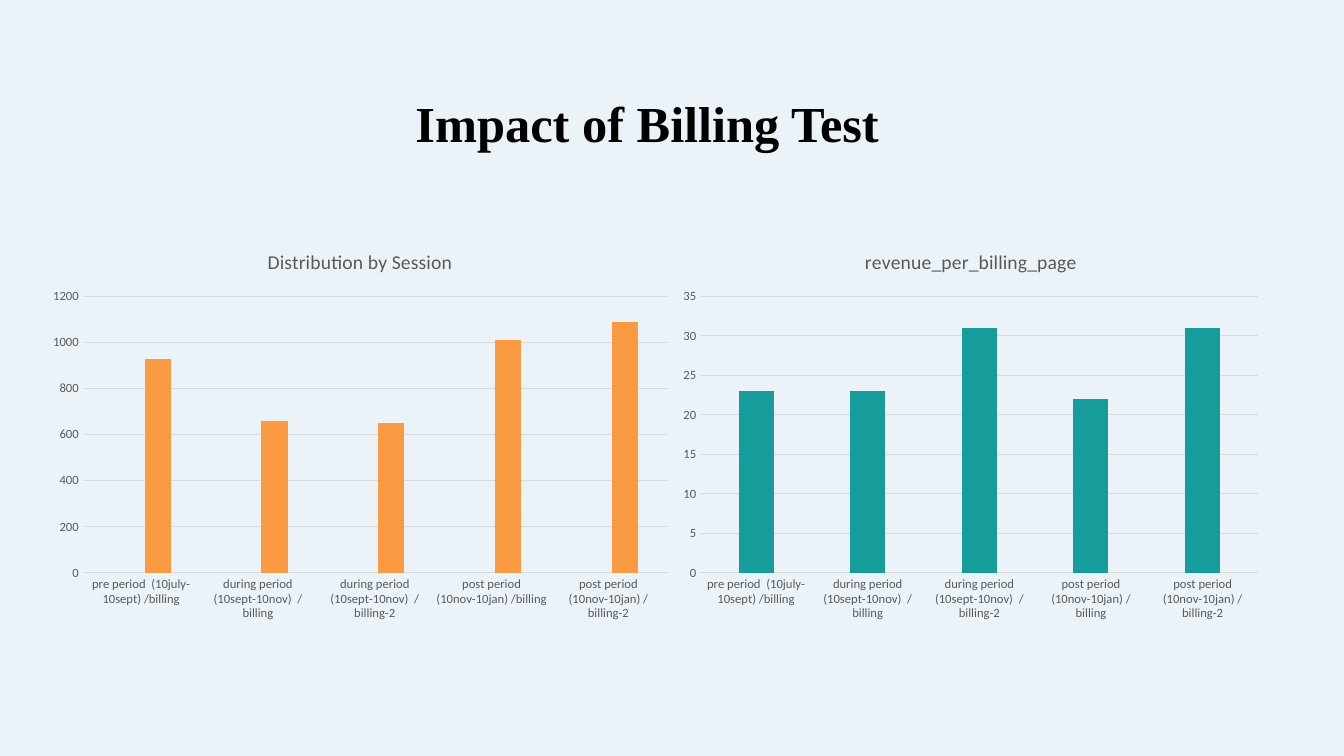
from pptx import Presentation
from pptx.chart.data import CategoryChartData
from pptx.dml.color import RGBColor
from pptx.enum.chart import XL_CHART_TYPE, XL_TICK_MARK
from pptx.enum.text import MSO_ANCHOR, PP_ALIGN
from pptx.util import Inches, Pt

BACKGROUND = RGBColor(0xEB, 0xF3, 0xF9)
BLACK = RGBColor(0, 0, 0)
GRAY = RGBColor(0x59, 0x59, 0x59)
GRID = RGBColor(0xD9, 0xD9, 0xD9)
TEAL = RGBColor(0x16, 0x9C, 0x9A)
ORANGE = RGBColor(0xFA, 0x9A, 0x42)

PERIODS = [
    "pre period  (10july- 10sept) /billing",
    "during period (10sept-10nov)  /billing",
    "during period (10sept-10nov)  /billing-2",
    "post period (10nov-10jan) /billing",
    "post period (10nov-10jan) /billing-2",
]
# Each series: name, values, color
SESSIONS = [
    ("Series 1", [None] * len(PERIODS), TEAL),
    ("Series 2", [930, 660, 650, 1010, 1090], ORANGE),
]
REVENUE = [("revenue_per_billing_page", [23, 23, 31, 22, 31], TEAL)]


def set_font(font, size, color, name="Calibri", bold=False):
    values = {"size": Pt(size), "name": name, "bold": bold}
    for key, value in values.items():
        setattr(font, key, value)
    font.color.rgb = color


def set_line(line, color):
    line.color.rgb = color
    line.width = Pt(0.75)


def add_title(slide, text, box):
    sp = slide.shapes.title
    for key, value in zip(("left", "top", "width", "height"), box):
        setattr(sp, key, Inches(value))
    tf = sp.text_frame
    tf.vertical_anchor = MSO_ANCHOR.MIDDLE
    p = tf.paragraphs[0]
    p.alignment = PP_ALIGN.CENTER
    r = p.add_run()
    r.text = text
    set_font(r.font, 36, BLACK, "Times New Roman", True)


def add_column_chart(slide, title, series, top_value, step, box):
    data = CategoryChartData()
    data.categories = PERIODS
    for name, values, _ in series:
        data.add_series(name, values)
    frame = slide.shapes.add_chart(
        XL_CHART_TYPE.COLUMN_CLUSTERED, *map(Inches, box), data)
    chart = frame.chart
    set_font(chart.font, 10, BLACK)
    chart.has_legend = False

    # Chart title
    chart.has_title = True
    chart.chart_title.include_in_layout = False
    r = chart.chart_title.text_frame.paragraphs[0].add_run()
    r.text = title
    set_font(r.font, 14, GRAY)

    # Columns
    plot = chart.plots[0]
    plot_format = {"gap_width": 219, "overlap": -27, "vary_by_categories": False}
    for key, value in plot_format.items():
        setattr(plot, key, value)
    for column, (_, _, color) in zip(plot.series, series):
        column.format.fill.solid()
        column.format.fill.fore_color.rgb = color
        column.invert_if_negative = False

    # Axes and gridlines
    for axis in (chart.category_axis, chart.value_axis):
        axis.major_tick_mark = axis.minor_tick_mark = XL_TICK_MARK.NONE
        set_font(axis.tick_labels.font, 9, GRAY)
    set_line(chart.category_axis.format.line, GRID)
    scale = {"minimum_scale": 0, "maximum_scale": top_value, "major_unit": step}
    for key, value in scale.items():
        setattr(chart.value_axis, key, value)
    chart.value_axis.format.line.fill.background()
    set_line(chart.value_axis.major_gridlines.format.line, GRID)


def main():
    prs = Presentation()
    prs.slide_width, prs.slide_height = Inches(13.33), Inches(7.5)
    slide = prs.slides.add_slide(prs.slide_layouts[5])
    slide.background.fill.solid()
    slide.background.fill.fore_color.rgb = BACKGROUND

    add_title(slide, "Impact of Billing Test", (0.4, 0.86, 12.04, 0.71))
    add_column_chart(slide, "Distribution by Session", SESSIONS, 1200, 200,
                     (0.4, 2.3, 6.34, 3.94))
    add_column_chart(slide, "revenue_per_billing_page", REVENUE, 35, 5,
                     (6.66, 2.3, 5.94, 3.94))
    prs.save("out.pptx")


if __name__ == "__main__":
    main()
